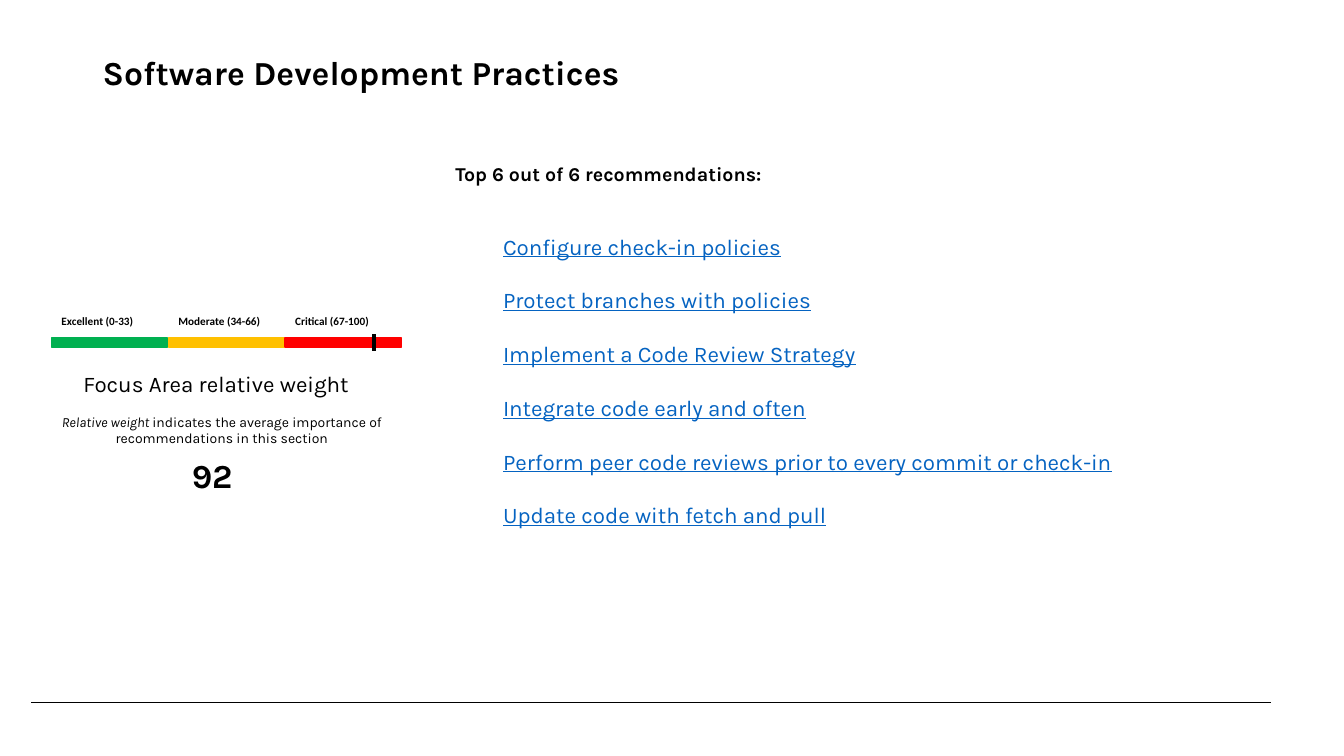
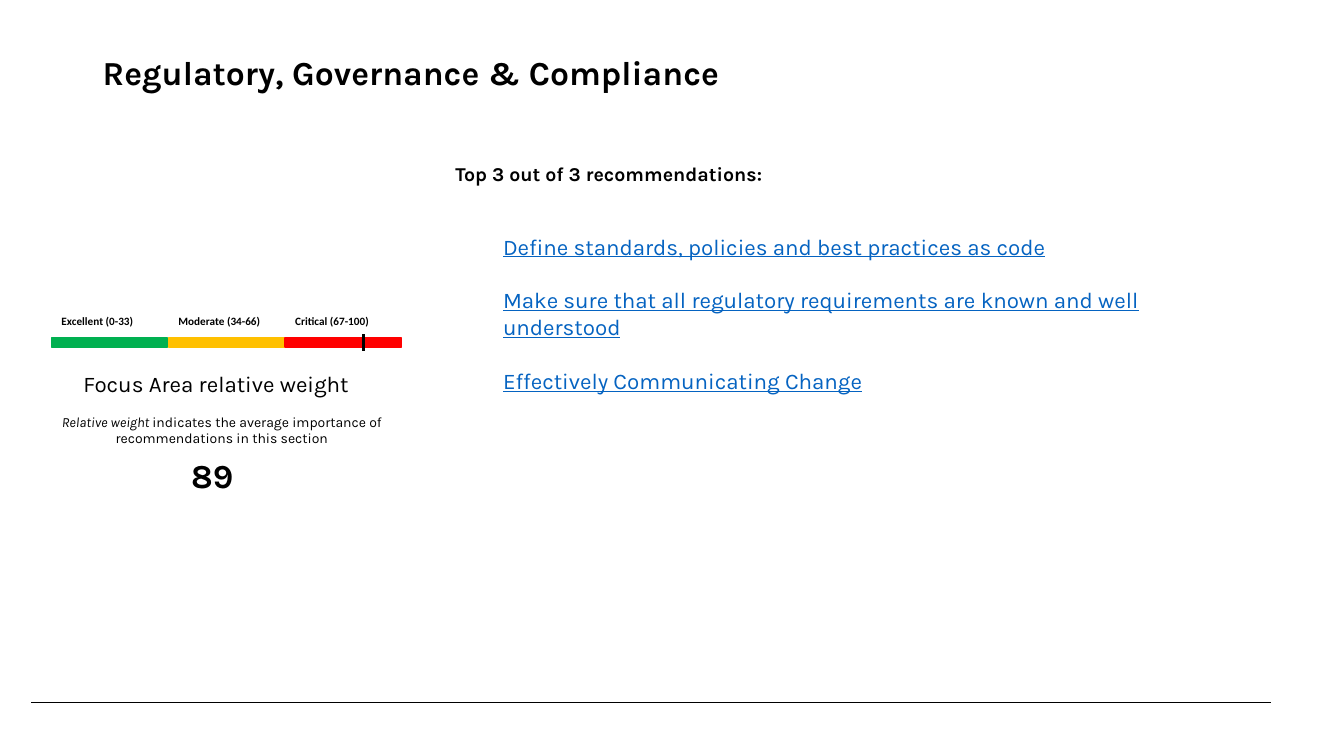
import pptx
import pptx.dml.color
import pptx.enum.shapes
import pptx.enum.text
import pptx.oxml.ns
import pptx.util
from lxml import etree

Pt = pptx.util.Pt
ALIGN = pptx.enum.text.PP_ALIGN
FONT, SCALE_FONT = "Karla", "Calibri"
BLACK, LINK = "000000", "0563C1"
GAUGE_LEFT, GAUGE_TOP, BAND_PITCH = 36.7, 241.5, 83.5
BANDS = [
    ("Excellent (0-33)", "00B050"),
    ("Moderate (34-66)", "FFC000"),
    ("Critical (67-100)", "FF0000"),
]
FOCUS_AREAS = [
    ("Software Development Practices", 92, [
        "Configure check-in policies",
        "Protect branches with policies",
        "Implement a Code Review Strategy",
        "Integrate code early and often",
        "Perform peer code reviews prior to every commit or check-in",
        "Update code with fetch and pull",
    ]),
    ("Regulatory, Governance & Compliance", 89, [
        "Define standards, policies and best practices as code",
        "Make sure that all regulatory requirements are known and well understood",
        "Effectively Communicating Change",
    ]),
]


def color(value):
    """Return the colour for a hex string."""
    return pptx.dml.color.RGBColor.from_string(value)


def style(para, size, bold=False, ink=BLACK, name=FONT, align=ALIGN.LEFT):
    """Set the font and alignment of a paragraph."""
    para.alignment = align
    para.font.name = name
    para.font.size = Pt(size)
    para.font.bold = bold
    para.font.color.rgb = color(ink)


def fit_frame(box, side=7.2):
    """Make a box wrap its text from the top and grow with it."""
    frame = box.text_frame
    frame.word_wrap = True
    frame.auto_size = pptx.enum.text.MSO_AUTO_SIZE.SHAPE_TO_FIT_TEXT
    frame.vertical_anchor = pptx.enum.text.MSO_ANCHOR.TOP
    frame.margin_left = frame.margin_right = Pt(side)
    frame.margin_top = frame.margin_bottom = Pt(3.6)
    return frame


def place(box, left, top, width, height):
    """Move and size a placeholder."""
    box.left, box.top, box.width, box.height = map(Pt, (left, top, width, height))


def add_title(page, text):
    """Fill the title placeholder."""
    box = page.shapes.title
    place(box, 66.2, 33.1, 796.3, 36)
    frame = fit_frame(box)
    frame.text = text
    style(frame.paragraphs[0], 24, bold=True)


def add_list(page, items):
    """Fill the body placeholder with underlined entries without bullets."""
    box = page.placeholders[1]
    place(box, 352.1, 162.7, 554.4, 19.2 * (2 * len(items) - 1) + 7.2)
    frame = fit_frame(box)
    frame.text = "\n".join(items)
    for index, para in enumerate(frame.paragraphs):
        style(para, 16, ink=LINK)
        para.font.underline = True
        para.space_before = Pt(19.2 if index else 0)
        props = para._p.get_or_add_pPr()
        props.set("marL", "0")
        props.set("indent", "0")
        bullet = etree.Element(pptx.oxml.ns.qn("a:buNone"))
        props.find(pptx.oxml.ns.qn("a:defRPr")).addprevious(bullet)


def add_text(page, area, spans, size, side=7.2, **look):
    """Add a text box with one paragraph and return its runs."""
    box = page.shapes.add_textbox(*map(Pt, area))
    para = fit_frame(box, side).paragraphs[0]
    style(para, size, **look)
    for text in spans:
        para.add_run().text = text
    return para.runs


def add_line(page, start, end, width):
    """Add a black straight line."""
    connector = page.shapes.add_connector(
        pptx.enum.shapes.MSO_CONNECTOR.STRAIGHT, *map(Pt, start + end))
    connector.line.color.rgb = color(BLACK)
    connector.line.width = Pt(width)
    etree.SubElement(connector._element.spPr, pptx.oxml.ns.qn("a:effectLst"))


def add_band(page, left, fill):
    """Add one coloured band of the gauge."""
    band = page.shapes.add_shape(
        pptx.enum.shapes.MSO_SHAPE.RECTANGLE,
        *map(Pt, (left, GAUGE_TOP, BAND_PITCH - 0.5, 6.5)))
    band.shadow.inherit = False
    band.fill.solid()
    band.fill.fore_color.rgb = band.line.color.rgb = color(fill)
    band.line.width = Pt(1)


def add_scale(page):
    """Add the table of band names above the gauge."""
    area = (GAUGE_LEFT, 221, BAND_PITCH * len(BANDS), 16.5)
    table = page.shapes.add_table(1, len(BANDS), *map(Pt, area)).table
    table.first_row = table.horz_banding = False
    for cell, (label, _) in zip(table.iter_cells(), BANDS):
        cell.fill.background()
        cell.text = label
        style(cell.text_frame.paragraphs[0], 8, bold=True, name=SCALE_FONT)


def add_gauge(page, weight):
    """Add the bands, the marker for the weight and the scale."""
    for index, (_, fill) in enumerate(BANDS):
        add_band(page, GAUGE_LEFT + index * BAND_PITCH, fill)
    marker = GAUGE_LEFT + weight / 100 * BAND_PITCH * len(BANDS)
    add_line(page, (marker, 237.6), (marker, 250.6), 2.5)
    add_scale(page)


def add_focus_area(deck, title, weight, items):
    """Add the slide of one focus area."""
    page = deck.slides.add_slide(deck.slide_layouts[1])
    add_title(page, title)
    add_text(page, (40.3, 260.6, 228.2, 26.6), ["Focus Area relative weight"], 16,
             align=ALIGN.CENTER)
    add_text(page, (108.7, 321.1, 85.7, 36), [str(weight)], 24, bold=True,
             align=ALIGN.CENTER)
    add_line(page, (22.3, 501.8), (907.9, 501.8), 0.5)
    count = len(items)
    add_text(page, (318.2, 112.3, 483.8, 24.5),
             [f"Top {count} out of {count} recommendations:"], 14, bold=True)
    add_list(page, items)
    add_gauge(page, weight)
    spans = add_text(
        page, (0, 291.6, 316.8, 31.7),
        ["Relative weight ",
         "indicates the average importance of recommendations in this section"],
        10, side=18, align=ALIGN.CENTER)
    spans[0].font.italic = True


def main():
    """Build and save the deck."""
    deck = pptx.Presentation()
    deck.slide_width, deck.slide_height = Pt(960), Pt(540)
    for title, weight, items in FOCUS_AREAS:
        add_focus_area(deck, title, weight, items)
    deck.save("out.pptx")


if __name__ == "__main__":
    main()
